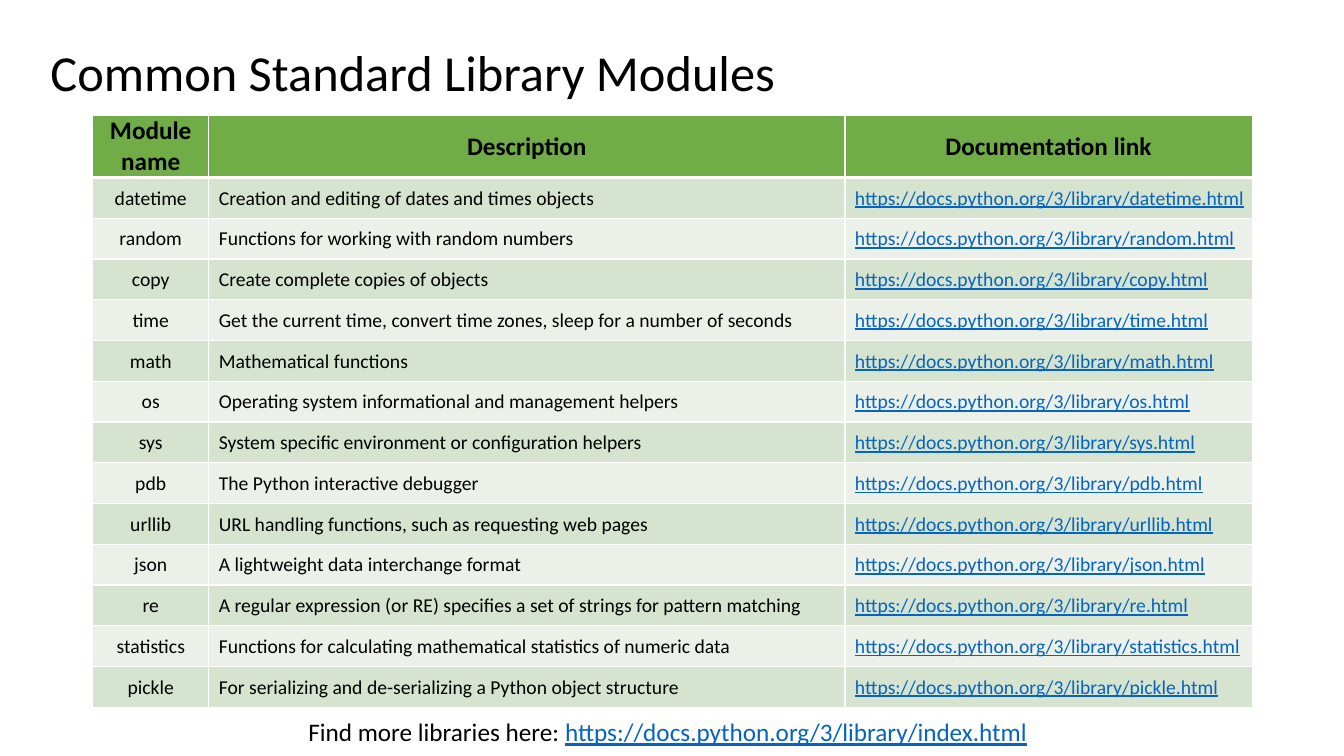
from lxml import etree
from pptx import Presentation
from pptx import util as u
from pptx.dml.color import RGBColor
from pptx.enum import text
from pptx.oxml.ns import qn

# Content
TITLE = "Common Standard Library Modules"
HEADERS = ("Module name", "Description", "Documentation link")
LIBRARY_URL = "https://docs.python.org/3/library/{}.html"
MODULES = (
    ("datetime", "Creation and editing of dates and times objects"),
    ("random", "Functions for working with random numbers"),
    ("copy", "Create complete copies of objects"),
    ("time", "Get the current time, convert time zones, sleep for a number of seconds"),
    ("math", "Mathematical functions"),
    ("os", "Operating system informational and management helpers"),
    ("sys", "System specific environment or configuration helpers"),
    ("pdb", "The Python interactive debugger"),
    ("urllib", "URL handling functions, such as requesting web pages"),
    ("json", "A lightweight data interchange format"),
    ("re", "A regular expression (or RE) specifies a set of strings for pattern matching"),
    ("statistics", "Functions for calculating mathematical statistics of numeric data"),
    ("pickle", "For serializing and de-serializing a Python object structure"),
)
MORE_LABEL = "Find more libraries here: "

THEME = {
    "font": "Calibri",
    "ink": "000000", "link": "0563C1", "border": "FFFFFF",
    "header": "70AD47", "bands": ("D5E3CF", "EBF1E9"),
    "title_size": 36, "large_size": 18, "cell_size": 14,
    "thin_border": 1, "thick_border": 3,
}

# Layout, in inches
SLIDE_SIZE = (13.33, 7.5)
TITLE_BOX = (0.4, 0.24, 11.5, 1.02)
TABLE_BOX = (0.92, 1.14, 11.5, 5.88)
MORE_BOX = (2.96, 7.06, 7.42, 0.4)
COLUMN_WIDTHS = (1.15, 6.31, 4.04)
HEADER_HEIGHT = 0.62
ROW_HEIGHT = (TABLE_BOX[3] - HEADER_HEIGHT) / len(MODULES)
CELL_PAD, TEXT_INDENT = 0.01, 0.1


def inches(lengths):
    return [u.Inches(length) for length in lengths]


def set_all(target, values):
    for name, value in values.items():
        setattr(target, name, value)


def add_run(paragraph, words, size, color="ink", **formats):
    run = paragraph.add_run()
    run.text = words
    set_all(run.font, {"name": THEME["font"], "size": u.Pt(size), **formats})
    run.font.color.rgb = RGBColor.from_string(THEME[color])


def add_link(paragraph, page, size):
    add_run(paragraph, LIBRARY_URL.format(page), size, "link", underline=True)


def set_borders(cell, top, bottom):
    """Draw the four cell edges, which come before the fill in the XML."""
    properties = cell._tc.get_or_add_tcPr()
    thin = THEME["thin_border"]
    edges = (("a:lnL", thin), ("a:lnR", thin), ("a:lnT", top), ("a:lnB", bottom))
    for position, (tag, width) in enumerate(edges):
        line = etree.Element(qn(tag), w=str(u.Pt(width)))
        fill = etree.SubElement(line, qn("a:solidFill"))
        etree.SubElement(fill, qn("a:srgbClr"), val=THEME["border"])
        properties.insert(position, line)


def format_cell(cell, row, column):
    centred = row == 0 or column == 0
    set_all(cell, {
        "margin_left": u.Inches(CELL_PAD if centred else TEXT_INDENT),
        "margin_right": u.Inches(CELL_PAD),
        "margin_top": u.Inches(CELL_PAD),
        "margin_bottom": 0,
        "vertical_anchor": text.MSO_ANCHOR.MIDDLE,
    })
    color = THEME["bands"][(row - 1) % 2] if row else THEME["header"]
    cell.fill.solid()
    cell.fill.fore_color.rgb = RGBColor.from_string(color)
    thin, thick = THEME["thin_border"], THEME["thick_border"]
    set_borders(cell, thick if row == 1 else thin, thick if row == 0 else thin)
    paragraph = cell.text_frame.paragraphs[0]
    paragraph.alignment = text.PP_ALIGN.CENTER if centred else text.PP_ALIGN.LEFT
    return paragraph


def add_title(slide):
    title = slide.shapes.title
    set_all(title, dict(zip(("left", "top", "width", "height"), inches(TITLE_BOX))))
    set_all(title.text_frame, {
        "vertical_anchor": text.MSO_ANCHOR.MIDDLE,
        "auto_size": text.MSO_AUTO_SIZE.NONE,
        "word_wrap": True,
    })
    paragraph = title.text_frame.paragraphs[0]
    set_all(paragraph, {"alignment": text.PP_ALIGN.LEFT, "line_spacing": 0.9})
    add_run(paragraph, TITLE, THEME["title_size"])


def add_module_table(slide):
    table = slide.shapes.add_table(
        len(MODULES) + 1, len(HEADERS), *inches(TABLE_BOX)).table
    for column, width in zip(table.columns, COLUMN_WIDTHS):
        column.width = u.Inches(width)
    for index, row in enumerate(table.rows):
        row.height = u.Inches(ROW_HEIGHT if index else HEADER_HEIGHT)

    # Header row
    for column, header in enumerate(HEADERS):
        paragraph = format_cell(table.cell(0, column), 0, column)
        add_run(paragraph, header, THEME["large_size"], bold=True)

    # Module rows
    size = THEME["cell_size"]
    for row, (module, description) in enumerate(MODULES, 1):
        name_cell, description_cell, link_cell = (
            format_cell(table.cell(row, column), row, column)
            for column in range(len(HEADERS)))
        add_run(name_cell, module, size)
        add_run(description_cell, description, size)
        add_link(link_cell, module, size)


def add_more_line(slide):
    frame = slide.shapes.add_textbox(*inches(MORE_BOX)).text_frame
    set_all(frame, {"word_wrap": False,
                    "auto_size": text.MSO_AUTO_SIZE.SHAPE_TO_FIT_TEXT})
    paragraph = frame.paragraphs[0]
    add_run(paragraph, MORE_LABEL, THEME["large_size"])
    add_link(paragraph, "index", THEME["large_size"])


def main():
    presentation = Presentation()
    set_all(presentation, dict(zip(("slide_width", "slide_height"), inches(SLIDE_SIZE))))
    slide = presentation.slides.add_slide(presentation.slide_layouts[5])
    add_title(slide)
    add_module_table(slide)
    add_more_line(slide)
    presentation.save("out.pptx")


if __name__ == "__main__":
    main()
